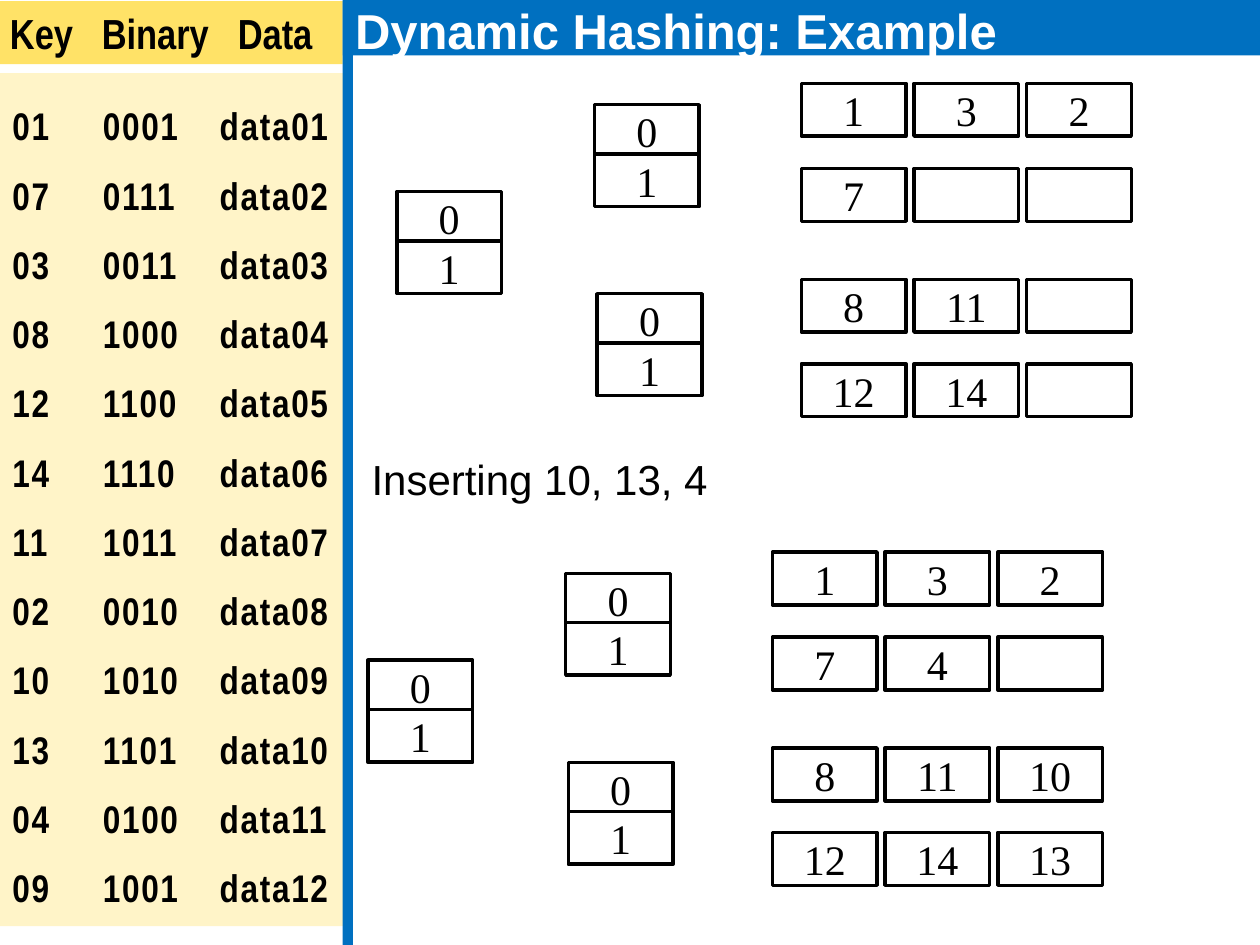
from dataclasses import dataclass

from lxml.etree import SubElement
from pptx import Presentation
from pptx.dml.color import RGBColor
from pptx.enum.shapes import MSO_SHAPE as Shape
from pptx.enum.text import MSO_ANCHOR as Anchor, PP_ALIGN as Align
from pptx.oxml.ns import qn
from pptx.util import Pt

BLACK, WHITE, BLUE = "000000", "FFFFFF", "0070C0"
CELL_W, CELL_H = 59.8, 30.2
NODE_STEP, BUCKET_STEP = 28.1, 64.4
RECORDS = [
    ("01", "0001"), ("07", "0111"), ("03", "0011"), ("08", "1000"),
    ("12", "1100"), ("14", "1110"), ("11", "1011"), ("02", "0010"),
    ("10", "1010"), ("13", "1101"), ("04", "0100"), ("09", "1001"),
]


@dataclass
class Style:
    font: str
    size: float
    color: str = BLACK
    bold: bool = False
    spacing: float = 0


@dataclass
class HashTree:
    x: float
    y: float
    buckets: list[list[str]]


NODES = [(0, 61.9), (113, 12.2), (114.5, 120.2)]
BUCKET_X, BUCKET_Y = 231.1, [0, 48.7, 112, 160.3]
TREES = [
    HashTree(226.8, 47.6, [["1", "3", "2"], ["7", "", ""],
                           ["8", "11", ""], ["12", "14", ""]]),
    HashTree(210.3, 315.4, [["1", "3", "2"], ["7", "4", ""],
                            ["8", "11", "10"], ["12", "14", "13"]]),
]


def rgb(value: str) -> RGBColor:
    return RGBColor.from_string(value)


def add_rect(s, x: float, y: float, w: float, h: float, fill: str, line: str = ""):
    sp = s.shapes.add_shape(Shape.RECTANGLE, Pt(x), Pt(y), Pt(w), Pt(h))
    sp.shadow.inherit = False
    sp.fill.solid()
    sp.fill.fore_color.rgb = rgb(fill)
    if line:
        sp.line.color.rgb = rgb(line)
        sp.line.width = Pt(2)
    else:
        sp.line.fill.background()
    return sp


def write(sp, text: str, style: Style, align=Align.LEFT, anchor=Anchor.TOP,
          wrap: bool = True, tabs: tuple = (), line_spacing: float = 1.0) -> None:
    tf = sp.text_frame
    tf.word_wrap = wrap
    tf.vertical_anchor = anchor
    tf.text = text
    for p in tf.paragraphs:
        p.alignment = align
        if tabs:
            tab_list = SubElement(p._p.get_or_add_pPr(), qn("a:tabLst"))
            for stop in tabs:
                SubElement(tab_list, qn("a:tab"), pos=str(Pt(stop)), algn="l")
        p.line_spacing = line_spacing
        for r in p.runs:
            r.font.name = style.font
            r.font.size = Pt(style.size)
            r.font.bold = style.bold
            r.font.color.rgb = rgb(style.color)
            if style.spacing:
                r._r.get_or_add_rPr().set("spc", str(round(style.spacing * 100)))


def add_cell(s, x: float, y: float, text: str) -> None:
    sp = add_rect(s, x, y, CELL_W, CELL_H, WHITE, BLACK)
    if text:
        write(sp, text, Style("Times New Roman", 24), Align.CENTER, Anchor.MIDDLE, wrap=False)


def add_tree(s, tree: HashTree) -> None:
    """Draw the root, its two children and the four buckets."""
    for dx, dy in NODES:
        for bit in range(2):
            add_cell(s, tree.x + dx, tree.y + dy + bit * NODE_STEP, str(bit))
    for dy, bucket in zip(BUCKET_Y, tree.buckets):
        for i, key in enumerate(bucket):
            add_cell(s, tree.x + BUCKET_X + i * BUCKET_STEP, tree.y + dy, key)


def main() -> None:
    prs = Presentation()
    prs.slide_width, prs.slide_height = Pt(720), Pt(540)
    s = prs.slides.add_slide(prs.slide_layouts[6])

    title = add_rect(s, 195.8, 0, 524.2, 31.7, BLUE)
    title.text_frame.margin_top, title.text_frame.margin_bottom = Pt(2), Pt(0)
    write(title, "Dynamic Hashing: Example", Style("Arial", 28, WHITE, True),
          anchor=Anchor.MIDDLE)

    rows = [f"{key}\t{binary}\tdata{i:02}" for i, (key, binary) in enumerate(RECORDS, 1)]
    write(add_rect(s, 0, 41.8, 198.7, 487.4, "FFF4C8"), "\n".join(rows),
          Style("Arial Narrow", 22, bold=True, spacing=1),
          tabs=(51.7, 118.5), line_spacing=1.5)
    write(add_rect(s, -1.4, 0.7, 197.3, 36, "FFE267"), "Key\tBinary\tData",
          Style("Arial Narrow", 24, bold=True), tabs=(52.5, 130.2))
    add_rect(s, 195.8, 0.7, 5.8, 539.3, BLUE)

    caption = s.shapes.add_textbox(Pt(205.2), Pt(255.6), Pt(468.7), Pt(36))
    write(caption, "Inserting 10, 13, 4", Style("Arial", 24), Align.JUSTIFY)

    for tree in TREES:
        add_tree(s, tree)
    prs.save("out.pptx")


if __name__ == "__main__":
    main()
